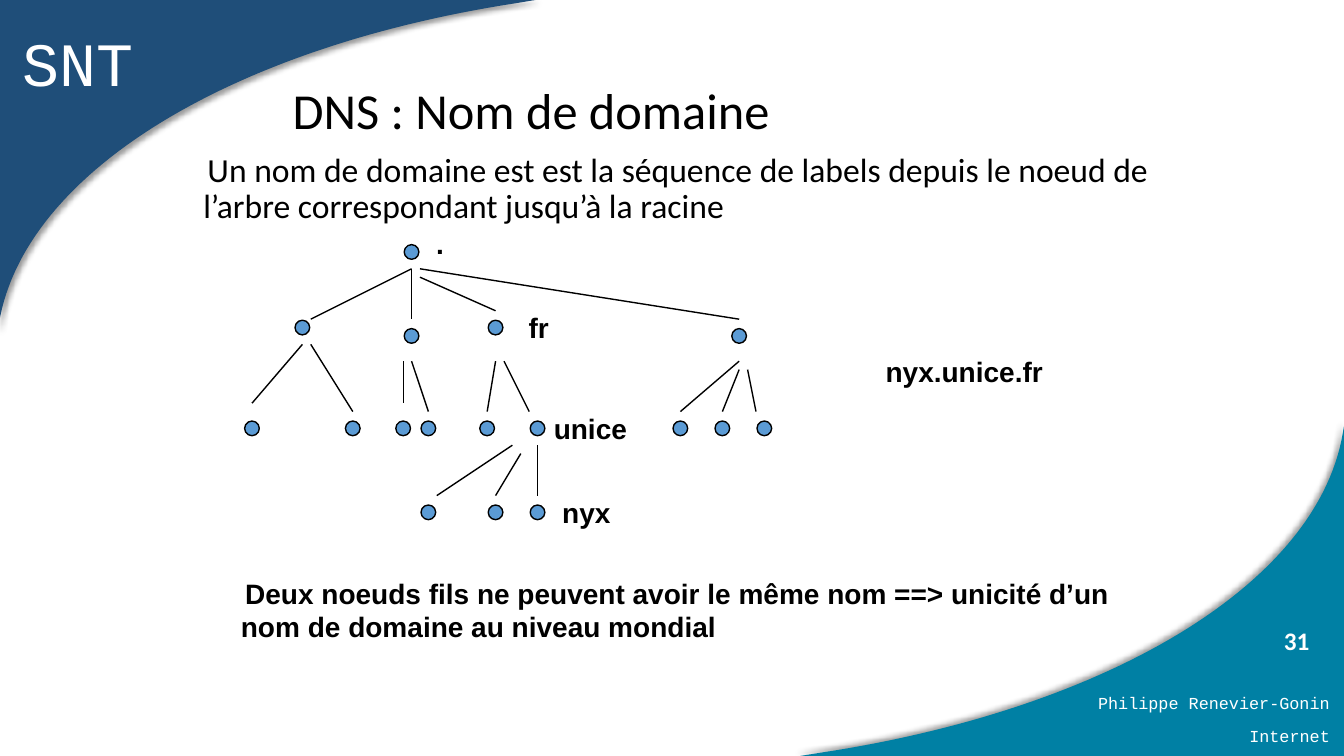
"""Build a slide on DNS domain names with a tree of labelled nodes."""
from lxml.etree import SubElement
from pptx import Presentation
from pptx.dml.color import RGBColor
from pptx.enum.shapes import MSO_CONNECTOR, MSO_SHAPE
from pptx.enum.text import MSO_ANCHOR, MSO_AUTO_SIZE, PP_ALIGN
from pptx.oxml.ns import qn
from pptx.util import Pt

PX = 9525
INK = {"navy": "1F4E79", "teal": "0080A4", "node": "5B9BD5", "black": "000000", "white": "FFFFFF"}


def box(*sides):
    return [round(side * PX) for side in sides]


def write(frame, text, size, font, ink, bold=False, align=PP_ALIGN.LEFT):
    para = frame.paragraphs[0]
    para.alignment = align
    run = para.add_run()
    run.text = text
    run.font.size = Pt(size)
    run.font.name = font
    run.font.bold = bold
    run.font.color.rgb = RGBColor.from_string(INK[ink])
    return para


deck = Presentation()
deck.slide_width, deck.slide_height = box(1280, 720)
slide = deck.slides.add_slide(deck.slide_layouts[1])
shapes = slide.shapes

corners = [
    ("teal", 225, [(1280, 720), (762, 720)], [(781, 717), (1053, 676), (1255, 557), (1279, 412)], (1280, 406)),
    ("navy", 45, [(-2, 0), (510, 0)], [(492, 3), (223, 44), (23, 163), (-1, 308)], (-2, 314)),
]
for ink, angle, start, curve, end in corners:
    points = start[1:]
    for step in range(61):
        t = step / 60
        parts = ((1 - t) ** 3, 3 * t * (1 - t) ** 2, 3 * t * t * (1 - t), t ** 3)
        points.append(tuple(sum(w * p[axis] for w, p in zip(parts, curve)) for axis in (0, 1)))
    points.append(end)
    outline = shapes.build_freeform(*box(*start[0]), scale=1)
    outline.add_line_segments([box(*point) for point in points], close=True)
    corner = outline.convert_to_shape()
    corner.fill.solid()
    corner.fill.fore_color.rgb = RGBColor.from_string(INK[ink])
    corner.line.fill.background()
    effects = SubElement(corner.element.spPr, qn("a:effectLst"))
    shadow = SubElement(effects, qn("a:outerShdw"), blurRad=str(Pt(4)), dist=str(Pt(3)),
                        dir=str(angle * 60000), algn="ctr", rotWithShape="0")
    shade = SubElement(shadow, qn("a:srgbClr"), val=INK["black"])
    SubElement(shade, qn("a:alpha"), val="40000")

title = shapes.title
title.left, title.top, title.width, title.height = box(269, 38, 923, 139)
title.text_frame.vertical_anchor = MSO_ANCHOR.MIDDLE
title.text_frame.auto_size = MSO_AUTO_SIZE.NONE
write(title.text_frame, "DNS : Nom de domaine", 36, "Calibri", "black").line_spacing = 0.9

body = slide.placeholders[1]
body.left, body.top, body.width, body.height = box(160, 141, 960, 90)
body.text_frame.auto_size = MSO_AUTO_SIZE.NONE
intro = write(body.text_frame, "Un nom de domaine est est la séquence de labels depuis le noeud de "
              "l’arbre correspondant jusqu’à la racine", 24, "Calibri", "black")
intro.line_spacing = 0.9
intro.space_before = Pt(10)
props = intro._p.get_or_add_pPr()
props.set("marL", str(24 * PX))
props.set("indent", str(4 * PX))
SubElement(props, qn("a:buNone"))

left, right = PP_ALIGN.LEFT, PP_ALIGN.RIGHT
labels = [
    ("SNT", (12, 19, 128, 81), 44, "Courier New", "white", False, left),
    ("Philippe Renevier-Gonin", (856, 655, 420, 29), 12, "Courier New", "white", False, right),
    ("Internet", (856, 686, 420, 29), 12, "Courier New", "white", False, right),
    (".", (406, 211, 30, 42), 20, "Arial", "black", True, left),
    ("fr", (494, 291, 44, 42), 20, "Arial", "black", True, left),
    ("unice", (518, 387, 92, 42), 20, "Arial", "black", True, left),
    ("nyx", (526, 467, 68, 42), 20, "Arial", "black", True, left),
    ("nyx.unice.fr", (834, 333, 174, 42), 20, "Arial", "black", True, left),
]
for text, sides, *style in labels:
    frame = shapes.add_textbox(*box(*sides)).text_frame
    frame.word_wrap = True
    write(frame, text, *style)

badge = shapes.add_shape(MSO_SHAPE.OVAL, *box(1202, 572, 78, 75))
badge.shadow.inherit = False
badge.fill.background()
badge.line.fill.background()
badge.text_frame.vertical_anchor = MSO_ANCHOR.MIDDLE
write(badge.text_frame, "31", 18, "Calibri", "white", True)

edges = [
    (392, 256, 296, 304), (392, 256, 392, 304), (400, 264, 472, 296), (400, 256, 704, 304),
    (288, 328, 240, 384), (296, 328, 336, 392), (384, 344, 384, 384), (392, 344, 408, 392),
    (472, 344, 464, 392), (480, 344, 504, 392),
    (704, 344, 648, 392), (704, 352, 688, 392), (712, 352, 720, 392),
    (488, 424, 416, 472), (496, 432, 472, 472), (512, 424, 512, 472),
]
for edge in edges:
    link = shapes.add_connector(MSO_CONNECTOR.STRAIGHT, *box(*edge))
    link.line.color.rgb = RGBColor.from_string(INK["black"])
    link.line.width = Pt(1)
    SubElement(link.element.spPr, qn("a:effectLst"))

levels = [
    (240, [392]),
    (312, [288, 472]),
    (320, [392, 704]),
    (408, [240, 336, 384, 408, 464, 512, 648, 688, 728]),
    (488, [408, 472, 512]),
]
for y, row in levels:
    for x in row:
        node = shapes.add_shape(MSO_SHAPE.OVAL, *box(x - 7, y - 7, 14, 14))
        node.shadow.inherit = False
        node.fill.solid()
        node.fill.fore_color.rgb = RGBColor.from_string(INK["node"])
        node.line.color.rgb = RGBColor.from_string(INK["black"])
        node.line.width = Pt(1)

rule = shapes.add_textbox(*box(184, 544, 912, 96)).text_frame
rule.word_wrap = True
para = write(rule, "Deux noeuds fils ne peuvent avoir le même nom ==> unicité d’un "
             "nom de domaine au niveau mondial", 20, "Arial", "black", True)
para.space_before = Pt(4)
props = para._p.get_or_add_pPr()
props.set("marL", str(36 * PX))
props.set("indent", str(4 * PX))

deck.save("out.pptx")
